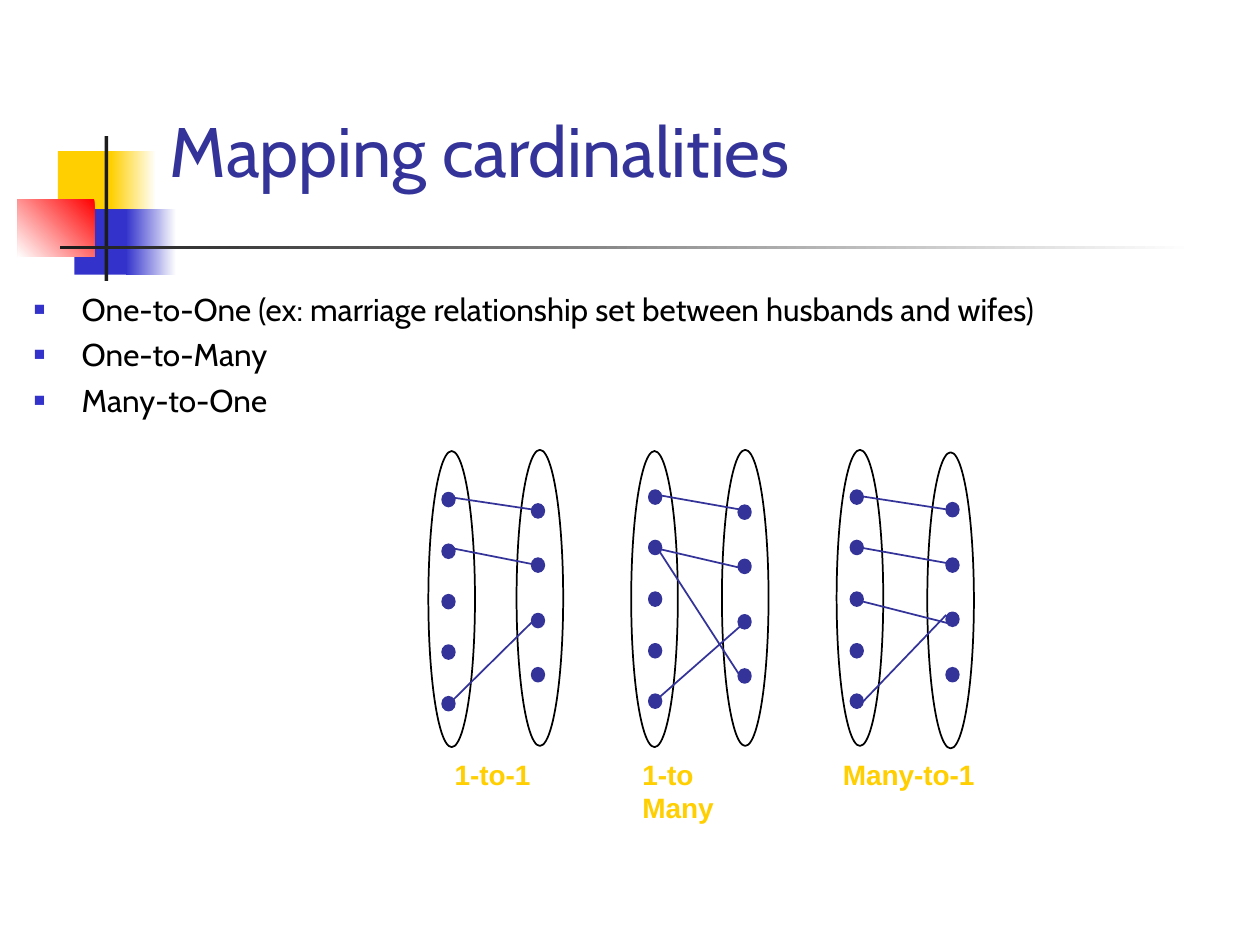
import pptx
import pptx.dml.color
import pptx.enum.shapes
import pptx.enum.text
import pptx.oxml
import pptx.oxml.ns
import pptx.util

Inches, Pt = pptx.util.Inches, pptx.util.Pt
RGB = pptx.dml.color.RGBColor.from_string
SHAPE = pptx.enum.shapes.MSO_SHAPE
ANCHOR = pptx.enum.text.MSO_ANCHOR
COLORS = {"yellow": "FFCF01", "blue": "3333CC", "red": "FF0000", "dark": "1C1C1C",
          "white": "FFFFFF", "navy": "333399", "black": "000000"}

prs = pptx.Presentation()
prs.slide_width, prs.slide_height = Inches(10), Inches(7.5)
s = prs.slides.add_slide(prs.slide_layouts[6])


def add_shape(kind, box, fill=None, line=None):
    """fill is a colour name, or (start, end, clockwise angle) for a gradient."""
    sp = s.shapes.add_shape(kind, *map(Inches, box))
    sp.shadow.inherit = False
    if fill is None:
        sp.fill.background()
    elif isinstance(fill, tuple):
        sp.fill.gradient()
        sp.fill.gradient_angle = 360 - fill[2]
        for stop, color in zip(sp.fill.gradient_stops, fill):
            stop.color.rgb = RGB(COLORS[color])
    else:
        sp.fill.solid()
        sp.fill.fore_color.rgb = RGB(COLORS[fill])
    if line:
        sp.line.color.rgb = RGB(COLORS[line])
        sp.line.width = Pt(1)
    else:
        sp.line.fill.background()


def add_text(box, lines, color, wrap=True, anchor=ANCHOR.TOP, **font):
    sp = s.shapes.add_textbox(*map(Inches, box))
    tf = sp.text_frame
    tf.word_wrap, tf.vertical_anchor = wrap, anchor
    tf.text = "\n".join(lines)
    for p in tf.paragraphs:
        r = p.runs[0]
        for name, value in font.items():
            setattr(r.font, name, value)
        r.font.color.rgb = RGB(COLORS[color])
    return tf


# Corner decoration and title rule
for box, fill in [
    ((0.46, 1.2, 0.48, 0.52), "yellow"),
    ((0.88, 1.2, 0.36, 0.52), ("white", "yellow", 180)),
    ((0.59, 1.66, 0.46, 0.52), "blue"),
    ((1, 1.66, 0.4, 0.52), ("white", "blue", 180)),
    ((0.14, 1.58, 0.61, 0.46), ("red", "white", 135)),
    ((0.83, 1.08, 0.03, 1.15), "dark"),
    ((0.48, 1.95, 9, 0.03), ("white", "dark", 180)),
]:
    add_shape(SHAPE.RECTANGLE, box, fill)

add_text((1.25, 0.58, 8.5, 1.21), ["Mapping cardinalities"], "navy",
         anchor=ANCHOR.MIDDLE, size=Pt(40), name="Cabin")

# Entity sets
for left, top in [(4.1, 3.57), (5.01, 3.58), (5.73, 3.57), (6.64, 3.57), (7.36, 3.59), (3.4, 3.58)]:
    add_shape(SHAPE.OVAL, (left, top, 0.37, 2.35), line="black")

for left, width, label in [(3.51, 0.8, "1-to-1"), (5, 1.23, "1-to Many"), (6.59, 1.25, "Many-to-1")]:
    add_text((left, 5.96, width, 0.36), [label], "yellow", wrap=False,
             size=Pt(16), name="Arial", bold=True)

# Relationships between entities
for ends in [
    (3.6, 3.95, 4.27, 4.05), (3.58, 4.35, 4.29, 4.49), (3.55, 5.6, 4.26, 4.9),
    (5.23, 3.93, 5.91, 4.05), (5.2, 4.35, 5.89, 4.51), (5.23, 4.37, 5.89, 5.39),
    (5.91, 4.94, 5.17, 5.59),
    (6.78, 3.93, 7.56, 4.05), (6.85, 4.35, 7.52, 4.47), (6.83, 4.77, 7.54, 4.95),
    (6.8, 5.62, 7.51, 4.88),
]:
    link = s.shapes.add_connector(pptx.enum.shapes.MSO_CONNECTOR.STRAIGHT, *map(Inches, ends))
    link.line.color.rgb = RGB(COLORS["navy"])
    link.line.width = Pt(1)
    link._element.spPr.append(pptx.oxml.parse_xml(
        f'<a:effectLst {pptx.oxml.ns.nsdecls("a")}/>'))

# Entities: column left, first top, count, vertical step
for left, top, count, step in [
    (3.51, 3.91, 5, 0.405), (5.15, 3.89, 5, 0.405), (6.75, 3.89, 5, 0.405),
    (4.22, 4, 4, 0.433), (5.86, 4.01, 4, 0.433), (7.51, 3.99, 4, 0.436),
]:
    for i in range(count):
        add_shape(SHAPE.OVAL, (left, round(top + i * step, 2), 0.1, 0.11), "navy", "navy")

tf = add_text((0.17, 2.25, 9.08, 4.75), [
    "One-to-One (ex: marriage relationship set between husbands and wifes)",
    "One-to-Many",
    "Many-to-One",
], "black", size=Pt(18), name="Cabin")
for p in tf.paragraphs:
    p.space_before = Pt(4.5)
    pPr = p._p.get_or_add_pPr()
    pPr.set("marL", str(Inches(0.38)))
    pPr.set("indent", str(-Inches(0.38)))
    for tag in [f'buClr {{}}><a:srgbClr val="{COLORS["blue"]}"/></a:buClr>',
                'buSzPct {} val="60000"/>', 'buFont {} typeface="Arial"/>', 'buChar {} char="■"/>']:
        pPr.append(pptx.oxml.parse_xml("<a:" + tag.format(pptx.oxml.ns.nsdecls("a"))))

prs.save("out.pptx")
